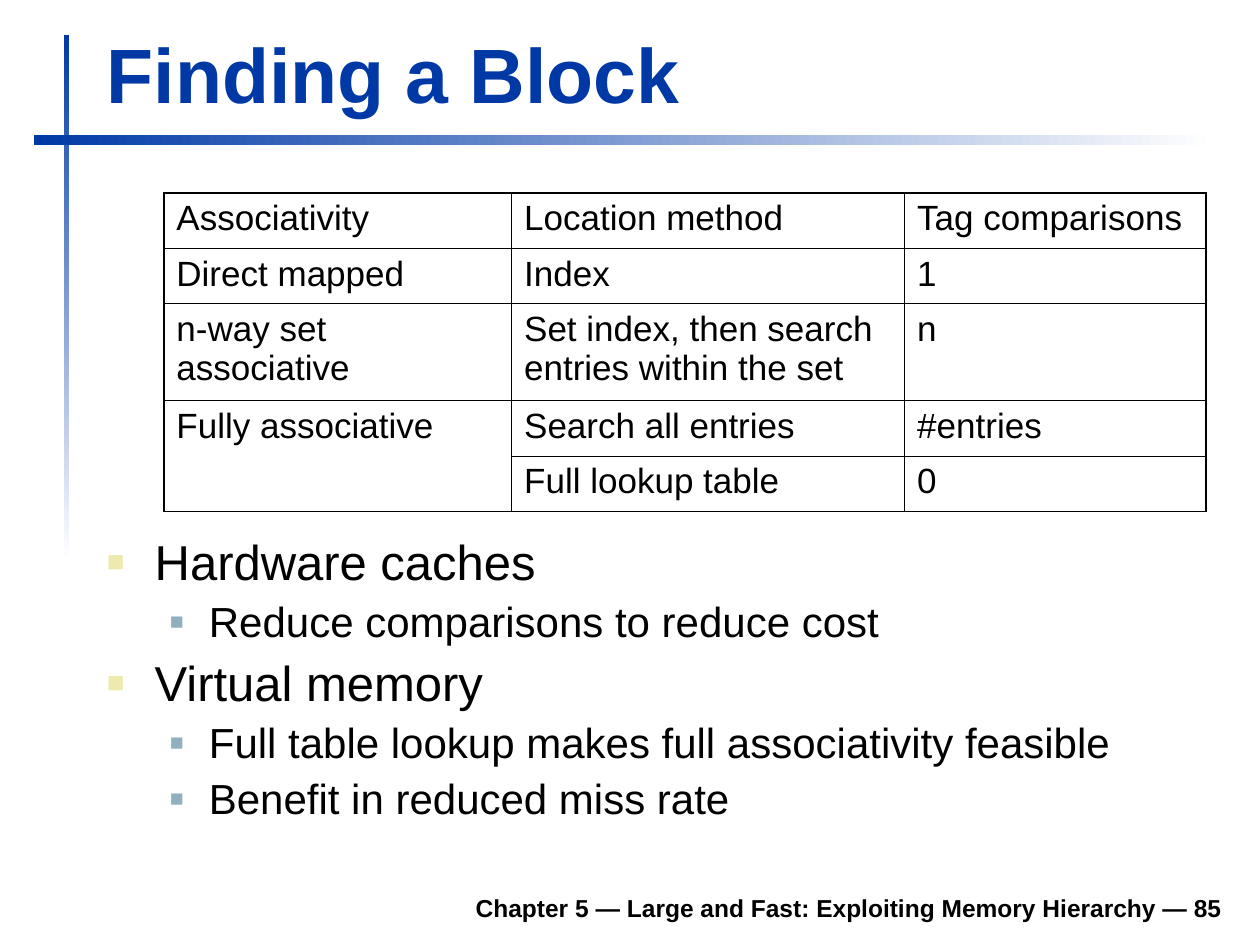
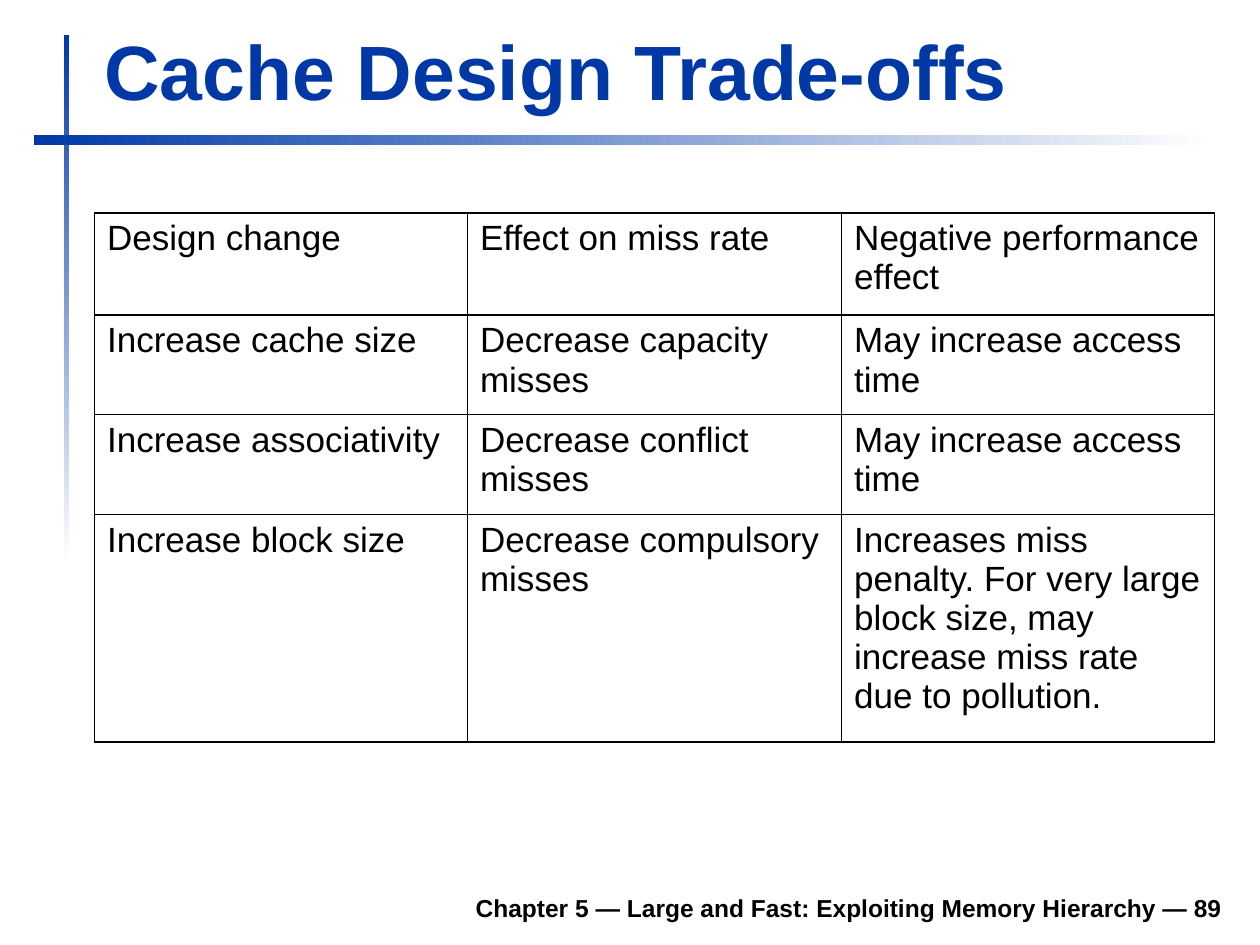
"""Build two slides on block placement and cache design trade-offs."""
import lxml.etree
import pptx
import pptx.dml.color
import pptx.enum.shapes
import pptx.enum.text
import pptx.oxml.ns
import pptx.util

Inches = pptx.util.Inches
Pt = pptx.util.Pt
qn = pptx.oxml.ns.qn
Anchor = pptx.enum.text.MSO_ANCHOR
Align = pptx.enum.text.PP_ALIGN

FONT = "Arial"
COLORS = {
    "title": "0039A6",
    "text": "000000",
    "paper": "FFFFFF",
    "bullet": "ECEAAC",
    "sub_bullet": "91AFBF",
}
BULLET_LEVELS = [
    {"size": 28, "before": 7, "left": 0.38, "hang": 0.38, "bullet": "bullet", "percent": 60},
    {"size": 24, "before": 6, "left": 0.81, "hang": 0.31, "bullet": "sub_bullet", "percent": 55},
]
OUTER_LINE, HEADER_LINE, INNER_LINE = 1.08, 0.75, 0.45
FOOTER = "Chapter 5 — Large and Fast: Exploiting Memory Hierarchy — {}"


def rgb(name):
    return pptx.dml.color.RGBColor.from_string(COLORS[name])


def add_color(parent, tag, name):
    holder = lxml.etree.SubElement(parent, qn(tag))
    lxml.etree.SubElement(holder, qn("a:srgbClr"), val=COLORS[name])


def write(paragraph, text, size=20, color="text", bold=False, align=Align.LEFT):
    paragraph.alignment = align
    run = paragraph.add_run()
    run.text = text
    run.font.name = FONT
    run.font.size = Pt(size)
    run.font.bold = bold
    run.font.color.rgb = rgb(color)


def set_bullet(paragraph, level):
    properties = paragraph._p.get_or_add_pPr()
    properties.set("marL", str(Inches(level["left"])))
    properties.set("indent", str(-Inches(level["hang"])))
    add_color(properties, "a:buClr", level["bullet"])
    lxml.etree.SubElement(properties, qn("a:buSzPct"), val=str(level["percent"] * 1000))
    lxml.etree.SubElement(properties, qn("a:buFont"), typeface=FONT)
    lxml.etree.SubElement(properties, qn("a:buChar"), char="■")


def set_borders(cell, left, right, top, bottom):
    properties = cell._tc.get_or_add_tcPr()
    widths = {"a:lnL": left, "a:lnR": right, "a:lnT": top, "a:lnB": bottom}
    for position, (tag, width) in enumerate(widths.items()):
        line = lxml.etree.Element(qn(tag), w=str(Pt(width)))
        add_color(line, "a:solidFill", "text")
        properties.insert(position, line)


class Deck:
    def __init__(self):
        self.presentation = pptx.Presentation()
        self.presentation.slide_width = Inches(10)
        self.presentation.slide_height = Inches(7.5)
        self.slide = None

    def add_slide(self, title, title_box, number):
        self.slide = self.presentation.slides.add_slide(self.presentation.slide_layouts[6])
        self.add_band((0.51, 0.28, 0.04, 4.17), angle=270)
        self.add_band((0.27, 1.07, 9.37, 0.08), angle=0)
        footer = self.add_frame((1.85, 6.98, 7.95, 0.39), Anchor.BOTTOM)
        write(footer.paragraphs[0], FOOTER.format(number), size=14, bold=True, align=Align.RIGHT)
        heading = self.add_frame(title_box, Anchor.BOTTOM)
        heading.auto_size = pptx.enum.text.MSO_AUTO_SIZE.SHAPE_TO_FIT_TEXT
        write(heading.paragraphs[0], title, size=44, color="title", bold=True)

    def add_band(self, box, angle):
        shape = self.slide.shapes.add_shape(
            pptx.enum.shapes.MSO_SHAPE.RECTANGLE, *map(Inches, box))
        shape.shadow.inherit = False
        shape.line.fill.background()
        shape.fill.gradient()
        shape.fill.gradient_angle = angle
        for stop, name in zip(shape.fill.gradient_stops, ("title", "paper")):
            stop.color.rgb = rgb(name)

    def add_frame(self, box, anchor=Anchor.TOP):
        frame = self.slide.shapes.add_textbox(*map(Inches, box)).text_frame
        frame.word_wrap = True
        frame.vertical_anchor = anchor
        return frame

    def add_bullets(self, box, items):
        frame = self.add_frame(box)
        for index, (depth, text) in enumerate(items):
            level = BULLET_LEVELS[depth]
            paragraph = frame.add_paragraph() if index else frame.paragraphs[0]
            paragraph.level = depth
            set_bullet(paragraph, level)
            paragraph.line_spacing = 0.9
            if index:
                paragraph.space_before = Pt(level["before"])
            write(paragraph, text, size=level["size"])

    def add_table(self, left, top, widths, heights, rows):
        table = self.slide.shapes.add_table(
            len(heights), len(widths), Inches(left), Inches(top),
            Inches(sum(widths)), Inches(sum(heights))).table
        table.first_row = table.horz_banding = False
        for column, width in zip(table.columns, widths):
            column.width = Inches(width)
        for row, height in zip(table.rows, heights):
            row.height = Inches(height)
        column_lines = [OUTER_LINE] + [INNER_LINE] * (len(widths) - 1) + [OUTER_LINE]
        row_lines = [OUTER_LINE, HEADER_LINE] + [INNER_LINE] * (len(heights) - 2) + [OUTER_LINE]
        for row_index, texts in enumerate(rows):
            for column_index, text in enumerate(texts):
                cell = table.cell(row_index, column_index)
                cell.fill.background()
                set_borders(cell, *column_lines[column_index:column_index + 2],
                            *row_lines[row_index:row_index + 2])
                if text:
                    write(cell.text_frame.paragraphs[0], text)
        return table


def main():
    deck = Deck()

    deck.add_slide("Finding a Block", (0.75, 0.16, 9.03, 0.83), 85)
    deck.add_bullets((0.75, 4.22, 9.04, 2.6), [
        (0, "Hardware caches"),
        (1, "Reduce comparisons to reduce cost"),
        (0, "Virtual memory"),
        (1, "Full table lookup makes full associativity feasible"),
        (1, "Benefit in reduced miss rate"),
    ])
    methods = deck.add_table(1.3, 1.53, [2.76, 3.12, 2.39], [0.44, 0.44, 0.77, 0.44, 0.44], [
        ("Associativity", "Location method", "Tag comparisons"),
        ("Direct mapped", "Index", "1"),
        ("n-way set associative", "Set index, then search entries within the set", "n"),
        ("Fully associative", "Search all entries", "#entries"),
        ("", "Full lookup table", "0"),
    ])
    methods.cell(3, 0).merge(methods.cell(4, 0))

    deck.add_slide("Cache Design Trade-offs", (0.73, 0.13, 8.52, 0.84), 89)
    deck.add_table(0.75, 1.69, [2.96, 2.97, 2.96], [0.81, 0.79, 0.79, 1.81], [
        ("Design change", "Effect on miss rate", "Negative performance effect"),
        ("Increase cache size", "Decrease capacity misses", "May increase access time"),
        ("Increase associativity", "Decrease conflict misses", "May increase access time"),
        ("Increase block size", "Decrease compulsory misses",
         "Increases miss penalty. For very large block size, "
         "may increase miss rate due to pollution."),
    ])

    deck.presentation.save("out.pptx")


if __name__ == "__main__":
    main()
